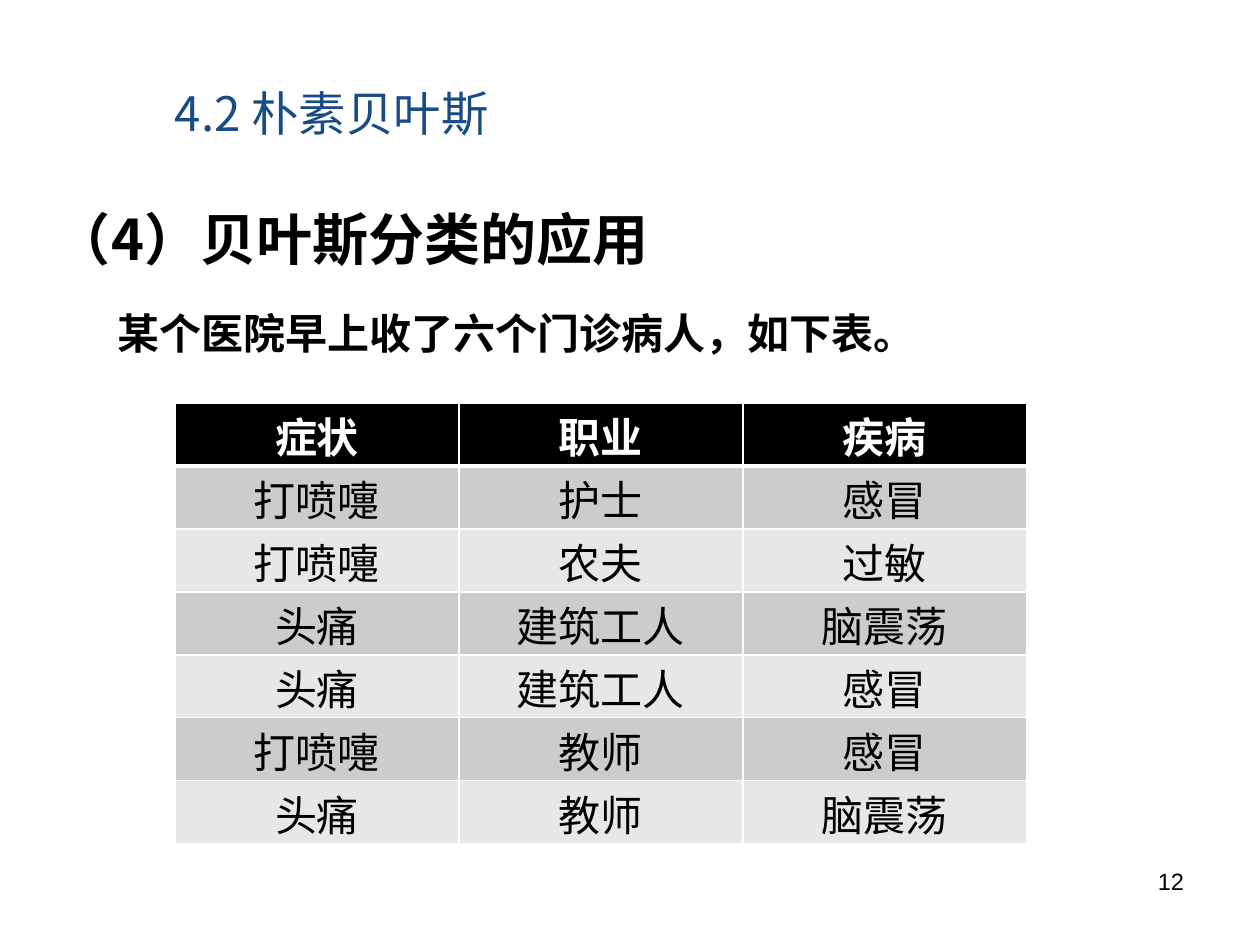
import pptx
import pptx.util
import pptx.dml.color
import pptx.enum.text
import pptx.oxml
import pptx.oxml.ns

EMU_PER_PX = 914400 // 126
CJK = "Noto Sans CJK SC"
ALIGN = pptx.enum.text.PP_ALIGN
ANCHOR = pptx.enum.text.MSO_ANCHOR

# Content: box (left, top, width, height), inset (x, y), paragraphs
TEXTS = [
    dict(box=(42, 165, 1174, 202), inset=(13, 6), anchor=ANCHOR.TOP,
         para=dict(line_spacing=1.5, space_before=pptx.util.Pt(6)),
         lines=[("（4）贝叶斯分类的应用", 32), ("\t某个医院早上收了六个门诊病人，如下表。", 24)],
         font=CJK, color="000000", bold=True),
    dict(box=(175, 84, 593, 57), inset=(0, 0), anchor=ANCHOR.MIDDLE,
         para=dict(space_before=pptx.util.Pt(6)),
         lines=[("4.2 朴素贝叶斯", 27.1)], font=CJK, color="1A4B85", bold=False),
    dict(box=(903, 861, 294, 66), inset=(13, 6), anchor=ANCHOR.TOP,
         para=dict(alignment=ALIGN.RIGHT),
         lines=[("12", 13.5)], font="Arial", color="000000", bold=False),
]
PATIENTS = [
    ("症状", "职业", "疾病"),
    ("打喷嚏", "护士", "感冒"),
    ("打喷嚏", "农夫", "过敏"),
    ("头痛", "建筑工人", "脑震荡"),
    ("头痛", "建筑工人", "感冒"),
    ("打喷嚏", "教师", "感冒"),
    ("头痛", "教师", "脑震荡"),
]
ARIAL_CELLS = {(1, 0), (2, 0), (3, 2), (4, 2), (5, 0), (5, 2), (6, 2)}
TABLE_LEFT, TABLE_TOP, COL_W, ROW_H = 175, 403, 284, 63


def px(n):
    return pptx.util.Emu(n * EMU_PER_PX)


def rgb(value):
    return pptx.dml.color.RGBColor.from_string(value)


def set_all(obj, values):
    for name, value in values.items():
        setattr(obj, name, value)


def add_run(p, text, size, font, color, bold):
    r = p.add_run()
    r.text = text
    set_all(r.font, dict(size=pptx.util.Pt(size), name=font, bold=bold))
    r.font.color.rgb = rgb(color)
    ea = pptx.oxml.parse_xml(
        f'<a:ea {pptx.oxml.ns.nsdecls("a")} typeface="{CJK}"/>')
    r.font._element.append(ea)


def add_border(cell, side, width, color="FFFFFF"):
    cell._tc.get_or_add_tcPr().append(pptx.oxml.parse_xml(
        f'<a:{side} {pptx.oxml.ns.nsdecls("a")} w="{pptx.util.Pt(width)}">'
        f'<a:solidFill><a:srgbClr val="{color}"/></a:solidFill></a:{side}>'))


prs = pptx.Presentation()
set_all(prs, dict(slide_width=px(1260), slide_height=px(945)))
slide = prs.slides.add_slide(prs.slide_layouts[6])

# Heading, body text and page number
for item in TEXTS:
    tf = slide.shapes.add_textbox(*map(px, item["box"])).text_frame
    x, y = map(px, item["inset"])
    set_all(tf, dict(word_wrap=True, vertical_anchor=item["anchor"],
                     margin_left=x, margin_right=x, margin_top=y, margin_bottom=y))
    for i, (text, size) in enumerate(item["lines"]):
        p = tf.add_paragraph() if i else tf.paragraphs[0]
        set_all(p, item["para"])
        add_run(p, text, size, item["font"], item["color"], item["bold"])

# Patient table
n_rows, n_cols = len(PATIENTS), len(PATIENTS[0])
table = slide.shapes.add_table(
    n_rows, n_cols, px(TABLE_LEFT), px(TABLE_TOP),
    px(COL_W * n_cols), px(ROW_H * n_rows)).table
for col in table.columns:
    col.width = px(COL_W)
for i, (row, words) in enumerate(zip(table.rows, PATIENTS)):
    row.height = px(ROW_H)
    header = i == 0
    fill = "000000" if header else ("CCCCCC" if i % 2 else "E7E7E7")
    for j, word in enumerate(words):
        cell = table.cell(i, j)
        set_all(cell, dict(margin_top=px(2), margin_bottom=0,
                           vertical_anchor=ANCHOR.BOTTOM))
        for side in ("lnL", "lnR", "lnT", "lnB"):
            thick = (header and side == "lnB") or (i == 1 and side == "lnT")
            add_border(cell, side, 3 if thick else 1)
        cell.fill.solid()
        cell.fill.fore_color.rgb = rgb(fill)
        p = cell.text_frame.paragraphs[0]
        p.alignment = ALIGN.CENTER
        add_run(p, word, 24, "Arial" if (i, j) in ARIAL_CELLS else "Cabin",
                "FFFFFF" if header else "000000", header)

prs.save("out.pptx")
